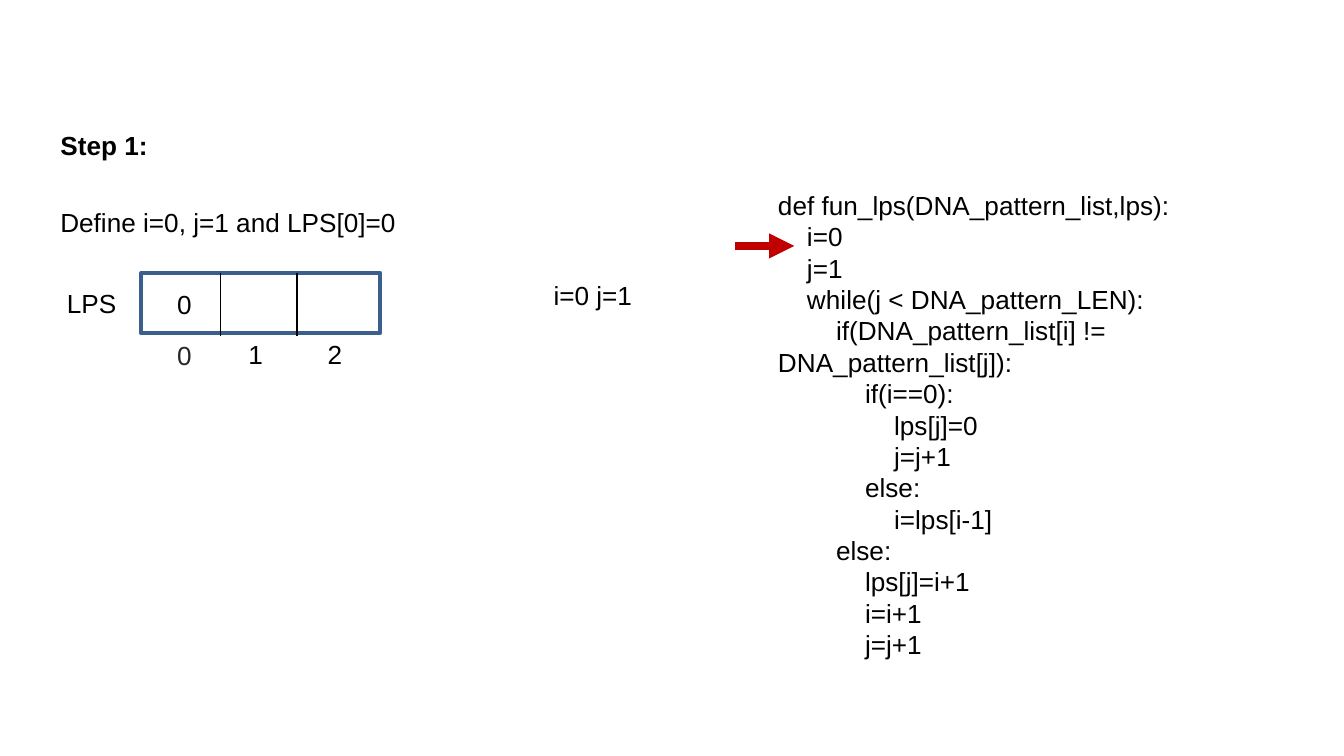
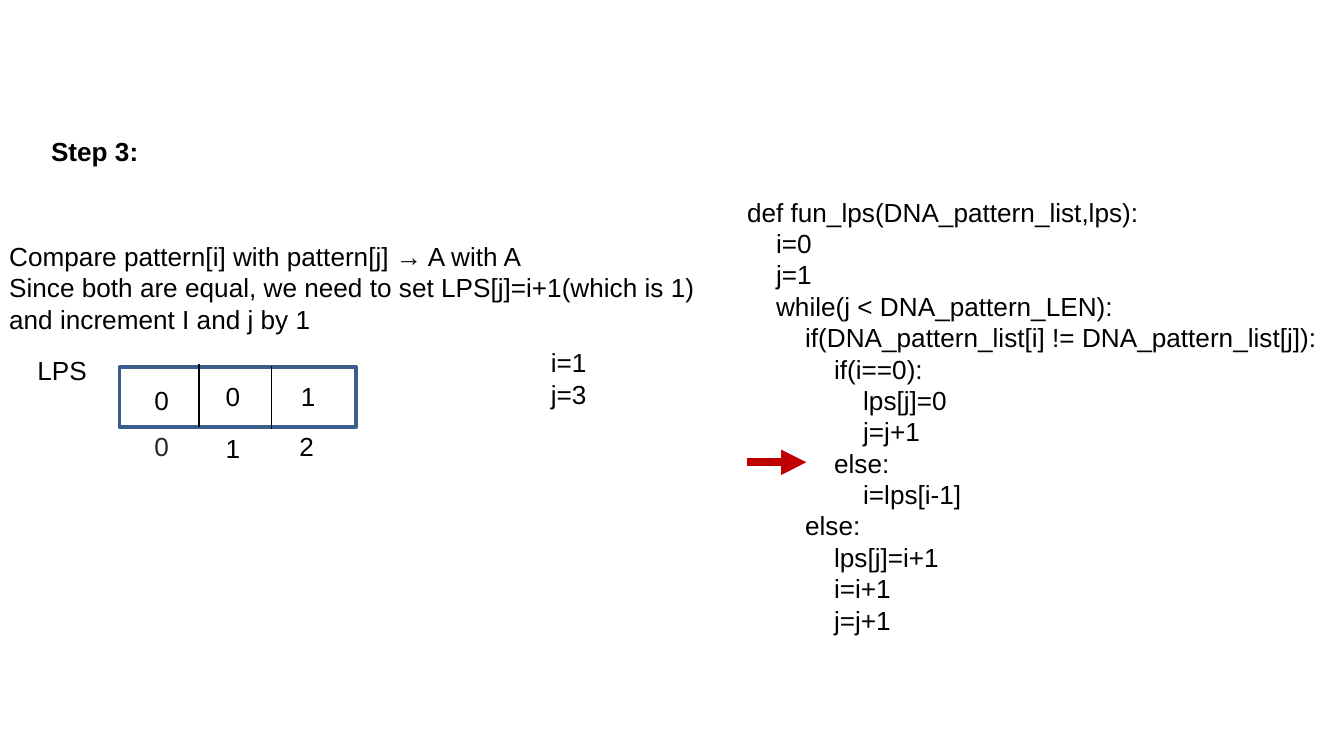
from lxml import etree
from pptx import Presentation
from pptx.dml.color import RGBColor
from pptx.enum.shapes import MSO_CONNECTOR, MSO_SHAPE
from pptx.enum.text import MSO_ANCHOR, MSO_AUTO_SIZE, PP_ALIGN
from pptx.oxml.ns import qn
from pptx.util import Inches, Pt

STRAIGHT = MSO_CONNECTOR.STRAIGHT
RECTANGLE = MSO_SHAPE.RECTANGLE
TOP = MSO_ANCHOR.TOP
LEFT = PP_ALIGN.LEFT
FIT_SHAPE = MSO_AUTO_SIZE.SHAPE_TO_FIT_TEXT
NO_FIT = MSO_AUTO_SIZE.NONE

# Shared style
FONT = "Arial"
TEXT_SIZE = 14
BLACK, DARK_GREY = "000000", "262626"
BORDER_BLUE, ARROW_RED = "3A5F8C", "C00000"
LINE_HEIGHT = 0.34
TITLE_WIDTH = 0.9
DIGIT_WIDTH = 0.31
ARRAY_HEIGHT = 0.45
DIVIDER_HEIGHT = 0.47
ARROW_LENGTH = 0.44

LPS_CODE = """def fun_lps(DNA_pattern_list,lps):
    i=0
    j=1
    while(j < DNA_pattern_LEN):
        if(DNA_pattern_list[i] != DNA_pattern_list[j]):
            if(i==0):
                lps[j]=0
                j=j+1
            else:
                i=lps[i-1]
        else:
            lps[j]=i+1
            i=i+1
            j=j+1"""


def rgb(value):
    return RGBColor.from_string(value)


def place(shape, left, top, width, height):
    shape.left, shape.top = Inches(left), Inches(top)
    shape.width, shape.height = Inches(width), Inches(height)


def write_text(frame, text, *, bold=False, color=BLACK, wrap=False, fit=FIT_SHAPE):
    frame.word_wrap = wrap
    frame.auto_size = fit
    frame.vertical_anchor = TOP
    for number, line in enumerate(text.split("\n")):
        para = frame.add_paragraph() if number else frame.paragraphs[0]
        para.alignment = LEFT
        span = para.add_run()
        span.text = line
        span.font.name = FONT
        span.font.size = Pt(TEXT_SIZE)
        span.font.bold = bold
        span.font.color.rgb = rgb(color)


def add_text(page, text, left, top, width, height=LINE_HEIGHT, **text_format):
    box = page.shapes.add_textbox(Inches(left), Inches(top), Inches(width), Inches(height))
    write_text(box.text_frame, text, **text_format)


def add_line(page, start, end, color, weight, arrow=False):
    line = page.shapes.add_connector(STRAIGHT, *map(Inches, start + end))
    line.line.color.rgb = rgb(color)
    line.line.width = Pt(weight)
    properties = line._element.spPr
    etree.SubElement(properties, qn("a:effectLst"))
    if arrow:
        etree.SubElement(properties.find(qn("a:ln")), qn("a:tailEnd"), type="triangle")


def add_step_page(deck, title, left, top):
    page = deck.slides.add_slide(deck.slide_layouts[5])
    place(page.shapes.title, left, top, TITLE_WIDTH, LINE_HEIGHT)
    write_text(page.shapes.title.text_frame, title, bold=True)
    return page


def add_lps_array(page, left, top, width, dividers, values, indices):
    """Draw the array; dividers are (x, y), values and indices (text, x, y)."""
    frame = page.shapes.add_shape(RECTANGLE, Inches(left), Inches(top),
                                  Inches(width), Inches(ARRAY_HEIGHT))
    frame.shadow.inherit = False
    frame.fill.background()
    frame.line.color.rgb = rgb(BORDER_BLUE)
    frame.line.width = Pt(2)
    for x, y in dividers:
        add_line(page, (x, y), (x, y + DIVIDER_HEIGHT), BLACK, 0.75)
    for text, x, y in values:
        add_text(page, text, x, y, DIGIT_WIDTH)
    for text, x, y in indices:
        color = DARK_GREY if text == "0" else BLACK
        add_text(page, text, x, y, DIGIT_WIDTH, color=color)


def add_code(page, left, top, width, height, arrow_left, arrow_y):
    """Write the function and point at the current line."""
    add_text(page, LPS_CODE, left, top, width, height, wrap=True)
    add_line(page, (arrow_left, arrow_y), (arrow_left + ARROW_LENGTH, arrow_y),
             ARROW_RED, 4.5, arrow=True)


def build_step_1(deck):
    page = add_step_page(deck, "Step 1:", 0.35, 0.91)
    add_text(page, "Define i=0, j=1 and LPS[0]=0", 0.35, 1.49, 2.71)
    add_text(page, "LPS", 0.4, 2.09, 0.57)
    add_lps_array(page, 1.05, 2.03, 1.78,
                  dividers=[(1.64, 2.03), (2.21, 2.03)],
                  values=[("0", 1.22, 2.1)],
                  indices=[("0", 1.22, 2.48), ("1", 1.75, 2.47), ("2", 2.34, 2.47)])
    add_text(page, "i=0 j=1", 4.02, 2.03, 0.79)
    add_code(page, 5.69, 1.36, 4.31, 3.64, arrow_left=5.47, arrow_y=1.83)


def build_step_3(deck):
    page = add_step_page(deck, "Step 3:", 0.28, 0.96)
    add_text(page, "Compare pattern[i] with pattern[j] → A with A\n"
                   "Since both are equal, we need to set LPS[j]=i+1(which is 1)\n"
                   "and increment I and j by 1", -0.03, 1.74, 5.33, 0.81)
    add_text(page, "LPS", 0.18, 2.59, 0.57)
    add_lps_array(page, 0.89, 2.73, 1.76,
                  dividers=[(1.48, 2.71), (2.02, 2.72)],
                  values=[("0", 1.05, 2.81), ("0", 1.58, 2.78), ("1", 2.14, 2.78)],
                  indices=[("0", 1.05, 3.15), ("1", 1.58, 3.17), ("2", 2.13, 3.15)])
    # Narrow enough to set the two counters on separate lines
    add_text(page, "i=1 j=3", 4, 2.53, 0.75, wrap=True, fit=NO_FIT)
    add_code(page, 5.46, 1.41, 4.59, 3.4, arrow_left=5.56, arrow_y=3.44)


def main():
    deck = Presentation()
    # Widescreen, 16:9
    deck.slide_width = Inches(10)
    deck.slide_height = deck.slide_width * 9 // 16
    build_step_1(deck)
    build_step_3(deck)
    deck.save("out.pptx")


if __name__ == "__main__":
    main()
